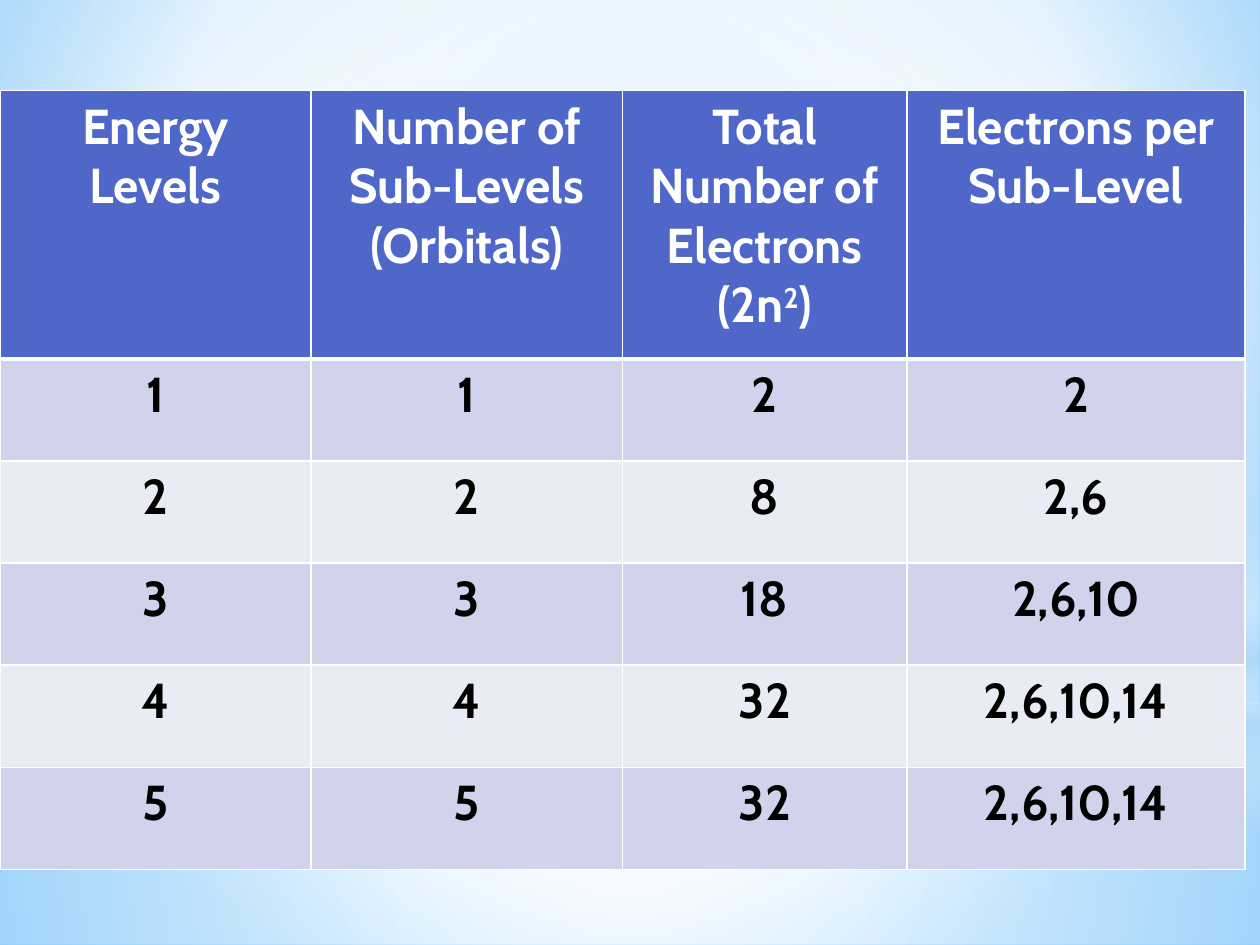
import pptx
import pptx.util
import pptx.enum.shapes
import pptx.enum.text
import pptx.dml.color
import pptx.oxml
import pptx.oxml.ns
from lxml import etree

Inches = pptx.util.Inches
qn = pptx.oxml.ns.qn
Shape = pptx.enum.shapes.MSO_SHAPE
Color = pptx.dml.color.RGBColor.from_string

HUES = {
    "white": "FFFFFF", "black": "000000", "head": "4E67C8",
    "odd": "D0D3EB", "even": "E9EBF5",
    "sky": "9ED5FF", "deep": "5BB9FF", "pale": "B4DCFA",
}


def blend(host, stops, focus=None):
    """Swap the solid fill in host for a gradient: radial with focus, else vertical."""
    grad = etree.Element(qn("a:gradFill"), rotWithShape="1")
    marks = etree.SubElement(grad, qn("a:gsLst"))
    for pos, hue, alpha in stops:
        mark = etree.SubElement(marks, qn("a:gs"), pos=str(pos * 1000))
        tint = etree.SubElement(mark, qn("a:srgbClr"), val=HUES[hue])
        etree.SubElement(tint, qn("a:alpha"), val=str(alpha * 1000))
    if focus:
        way = etree.SubElement(grad, qn("a:path"), path="circle")
        sides = {k: str(v * 1000) for k, v in zip("ltrb", focus)}
        etree.SubElement(way, qn("a:fillToRect"), **sides)
    else:
        etree.SubElement(grad, qn("a:lin"), ang="5400000", scaled="0")
    host.replace(host.find(qn("a:solidFill")), grad)


def write(para, text, size=28, hue="black", bold=True, base=0):
    run = para.add_run()
    run.text = text
    run.font.name = "Cabin"
    run.font.size = pptx.util.Pt(size)
    run.font.bold = bold
    run.font.color.rgb = Color(HUES[hue])
    if base:
        run.font._element.set("baseline", str(base * 1000))


deck = pptx.Presentation()
deck.slide_width, deck.slide_height = Inches(10), Inches(7.5)
slide = deck.slides.add_slide(deck.slide_layouts[6])

# Background
slide.background.fill.solid()
blend(slide.element.find(".//" + qn("p:bgPr")),
      [(0, "sky", 100), (60, "white", 100), (100, "deep", 100)], (20, 10, 20, 60))

# Soft light layers
mid = (50, 50, 50, 50)
layers = [
    (Shape.RECTANGLE, 5.58, 1.92, mid,
     [(0, "white", 91), (37, "white", 76), (100, "pale", 79)]),
    (Shape.RECTANGLE, 0, 5.58, mid,
     [(0, "white", 89), (48, "white", 62), (100, "pale", 79)]),
    (Shape.RECTANGLE, 4.12, 2.5, None,
     [(0, "white", 0), (29, "white", 30), (45, "pale", 40),
      (55, "white", 26), (65, "pale", 60), (100, "white", 0)]),
    (Shape.OVAL, 1.75, 5.58, mid, [(0, "white", 100), (56, "white", 0)]),
]
for kind, top, high, focus, stops in layers:
    glow = slide.shapes.add_shape(kind, 0, Inches(top), Inches(10), Inches(high))
    glow.shadow.inherit = False
    glow.line.fill.background()
    glow.fill.solid()
    blend(glow.element.spPr, stops, focus)

# Table content: each cell is a list of (text, baseline) parts
rows = [
    ["Energy Levels", "Number of Sub-Levels (Orbitals)",
     [("Total Number of Electrons (2n", 0), ("2", 30), (")", 0)],
     "Electrons per Sub-Level"],
    ["1", "1", "2", "2"],
    ["2", "2", "8", "2,6"],
    ["3", "3", "18", "2,6,10"],
    ["4", "4", "32", "2,6,10,14"],
    ["5", "5", "32", "2,6,10,14"],
]
wides = [2.47, 2.47, 2.26, 2.68]
highs = [2.13] + [0.81] * 5
table = slide.shapes.add_table(len(rows), len(wides), 0, Inches(0.72),
                               Inches(sum(wides)), Inches(sum(highs))).table
for col, wide in zip(table.columns, wides):
    col.width = Inches(wide)
for row, high in zip(table.rows, highs):
    row.height = Inches(high)

# Cells: text, borders, then fill
for r, row in enumerate(rows):
    for c, parts in enumerate(row):
        cell = table.cell(r, c)
        para = cell.text_frame.paragraphs[0]
        para.alignment = pptx.enum.text.PP_ALIGN.CENTER
        if isinstance(parts, str):
            parts = [(parts, 0)]
        for text, base in parts:
            write(para, text, hue="black" if r else "white", base=base)

        props = cell._tc.get_or_add_tcPr()
        for side in "LRTB":
            thick = 3 if (r, side) in [(0, "B"), (1, "T")] else 1
            edge = etree.SubElement(props, qn("a:ln" + side),
                                    w=str(pptx.util.Pt(thick)))
            paint = etree.SubElement(edge, qn("a:solidFill"))
            etree.SubElement(paint, qn("a:srgbClr"), val=HUES["white"])
        cell.fill.solid()
        shade = "head" if r == 0 else "odd" if r % 2 else "even"
        cell.fill.fore_color.rgb = Color(HUES[shade])

deck.save("out.pptx")
